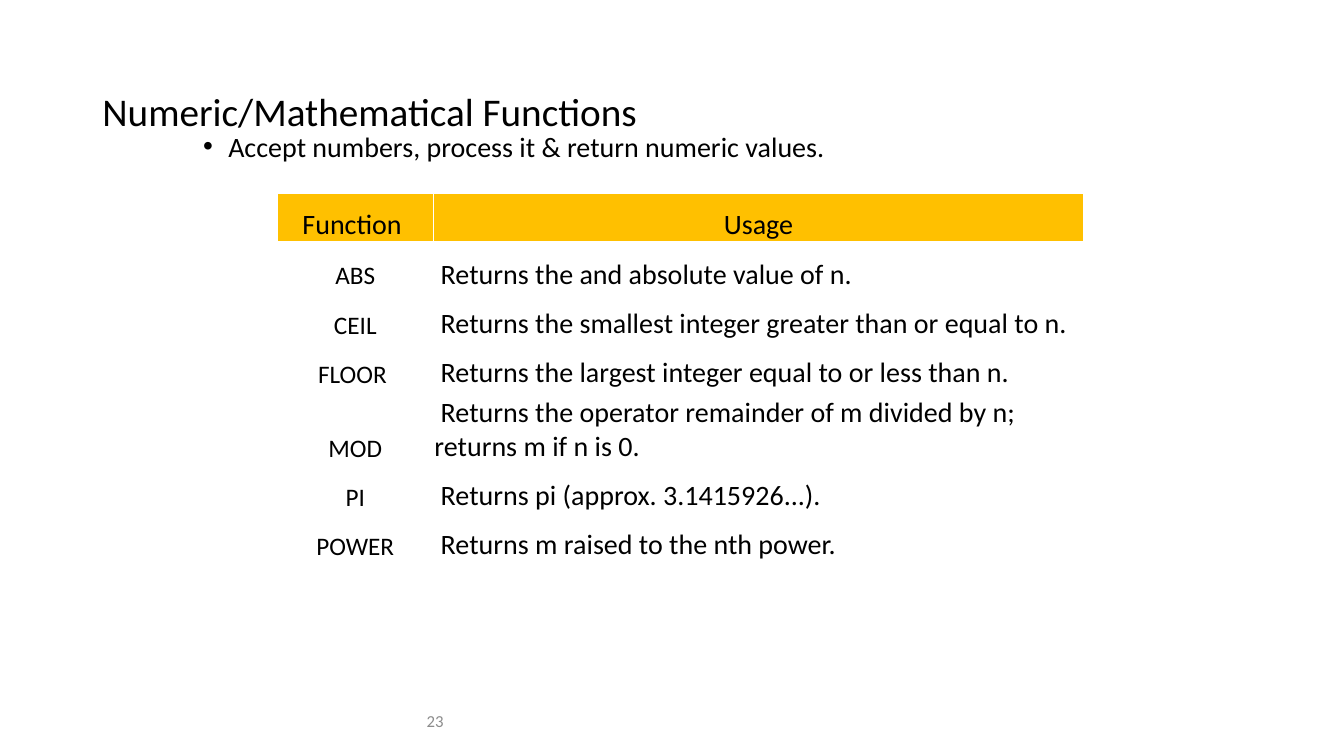
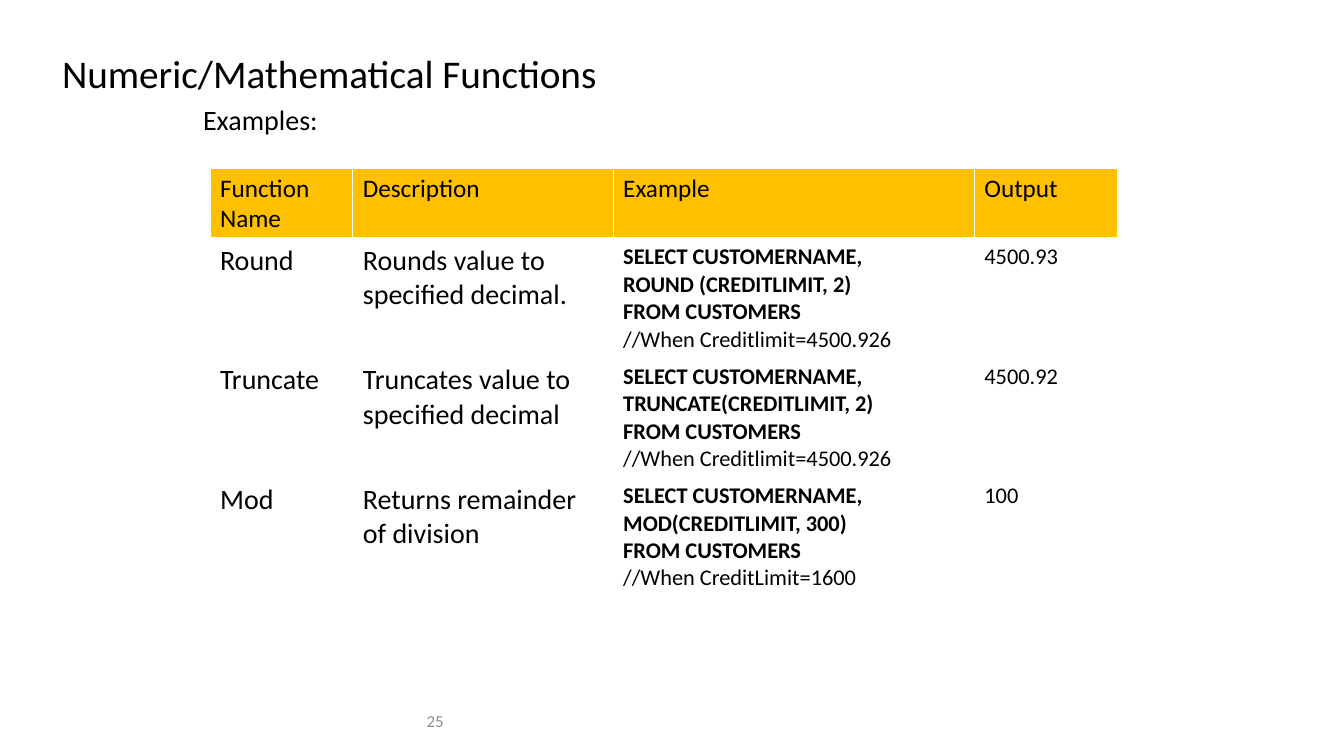
from lxml.etree import SubElement
from pptx import Presentation
from pptx.dml.color import RGBColor
from pptx.enum.text import MSO_ANCHOR, MSO_AUTO_SIZE, PP_ALIGN
from pptx.oxml.ns import qn
from pptx.util import Pt

COLORS = {"text": "000000", "header": "FFC000", "border": "FFFFFF", "number": "8C8C8C"}
FONT = "Calibri"
TITLE = "Numeric/Mathematical Functions"
TITLE_SIZE = (828, 104.4)
TIGHT_CELL = {"vertical_anchor": MSO_ANCHOR.BOTTOM, "margin_left": Pt(0.72),
              "margin_right": Pt(0.72), "margin_top": Pt(0.72), "margin_bottom": Pt(0)}
BORDERS = {"a:lnL": 1, "a:lnR": 1, "a:lnT": 1, "a:lnB": 1}
HEADER_BORDERS = BORDERS | {"a:lnB": 3}

USAGE_ROWS = [
    ("Function ", "Usage"),
    ("ABS", " Returns the and absolute value of n."),
    ("CEIL", " Returns the smallest integer greater than or equal to n."),
    ("FLOOR ", " Returns the largest integer equal to or less than n."),
    ("MOD", " Returns the operator remainder of m divided by n; returns m if n is 0."),
    ("PI", " Returns pi (approx. 3.1415926...)."),
    ("POWER", " Returns m raised to the nth power."),
]
EXAMPLE_ROWS = [
    ("Function Name", "Description", "Example", "Output"),
    ("Round", "Rounds value to specified decimal.",
     "SELECT CUSTOMERNAME,\nROUND (CREDITLIMIT, 2)\nFROM CUSTOMERS\n"
     "//When Creditlimit=4500.926", "4500.93"),
    ("Truncate", "Truncates value to specified decimal",
     "SELECT CUSTOMERNAME, TRUNCATE(CREDITLIMIT, 2)\nFROM CUSTOMERS\n"
     "//When Creditlimit=4500.926", "4500.92"),
    ("Mod", "Returns remainder of division",
     "SELECT CUSTOMERNAME,\nMOD(CREDITLIMIT, 300)\nFROM CUSTOMERS\n"
     "//When CreditLimit=1600", "100"),
]


def apply_format(target, values):
    """Set every attribute named in values on target."""
    for attribute, value in values.items():
        setattr(target, attribute, value)


def write_lines(frame, text, size, color="text", code=False, **paragraph_format):
    """Write one paragraph per line, with all but the last bold in code."""
    lines = text.split("\n")
    for index, line in enumerate(lines):
        paragraph = frame.paragraphs[0] if index == 0 else frame.add_paragraph()
        apply_format(paragraph, paragraph_format)
        run = paragraph.add_run()
        run.text = line
        apply_format(run.font, {"name": FONT, "size": Pt(size),
                                "bold": code and index < len(lines) - 1})
        run.font.color.rgb = RGBColor.from_string(COLORS[color])


def add_title(slide, left, top, line_spacing):
    """Place and format the title placeholder."""
    title = slide.shapes.title
    width, height = TITLE_SIZE
    apply_format(title, {"left": Pt(left), "top": Pt(top),
                         "width": Pt(width), "height": Pt(height)})
    apply_format(title.text_frame, {"vertical_anchor": MSO_ANCHOR.MIDDLE,
                                    "auto_size": MSO_AUTO_SIZE.NONE})
    write_lines(title.text_frame, TITLE, 28, alignment=PP_ALIGN.LEFT,
                line_spacing=line_spacing)


def add_text(slide, box, text, size, anchor=MSO_ANCHOR.TOP, **line_format):
    """Add a wrapping text box and return its frame."""
    frame = slide.shapes.add_textbox(*map(Pt, box)).text_frame
    apply_format(frame, {"word_wrap": True, "vertical_anchor": anchor})
    write_lines(frame, text, size, **line_format)
    return frame


def add_bullet(paragraph, indent):
    """Give a paragraph a round bullet and a hanging indent."""
    properties = paragraph._p.get_or_add_pPr()
    properties.set("marL", str(Pt(indent)))
    properties.set("indent", str(-Pt(indent)))
    SubElement(properties, qn("a:buFont"), typeface="Arial")
    SubElement(properties, qn("a:buChar"), char="•")


def add_page_number(slide, number):
    """Add the grey page number at the foot."""
    add_text(slide, (0, 500.4, 324, 28.8), number, 12, MSO_ANCHOR.MIDDLE,
             color="number", alignment=PP_ALIGN.RIGHT)


def draw_borders(cell, borders):
    """Draw the cell's sides in the given line widths."""
    properties = cell._tc.get_or_add_tcPr()
    for side, width in borders.items():
        line = SubElement(properties, qn(side), w=str(Pt(width)))
        fill = SubElement(line, qn("a:solidFill"))
        SubElement(fill, qn("a:srgbClr"), val=COLORS["border"])


def add_function_table(slide, origin, widths, heights, rows, header_format,
                       column_formats, cell_format):
    """Add a table with an amber header row and unfilled body rows."""
    frame = slide.shapes.add_table(len(rows), len(widths), *map(Pt, origin),
                                   Pt(sum(widths)), Pt(sum(heights)))
    table = frame.table
    apply_format(table, {"first_row": False, "horz_banding": False})
    for column, width in zip(table.columns, widths):
        column.width = Pt(width)
    for row_index, (row, height, texts) in enumerate(zip(table.rows, heights, rows)):
        row.height = Pt(height)
        is_header = row_index == 0
        for cell, text, column_format in zip(row.cells, texts, column_formats):
            apply_format(cell, cell_format)
            draw_borders(cell, HEADER_BORDERS if is_header else BORDERS)
            if is_header:
                cell.fill.solid()
                cell.fill.fore_color.rgb = RGBColor.from_string(COLORS["header"])
            else:
                cell.fill.background()
            write_lines(cell.text_frame, text,
                        **(header_format if is_header else column_format))


def build_usage_slide(slide):
    """Build the list of numeric functions and their usage."""
    add_title(slide, 66, 28.8, 0.9)
    summary = add_text(slide, (138, 84, 648, 72),
                       "Accept numbers, process it & return numeric values.", 20,
                       line_spacing=1.2, space_before=Pt(10))
    add_bullet(summary.paragraphs[0], 18)
    add_page_number(slide, "23")
    centered = {"alignment": PP_ALIGN.CENTER}
    add_function_table(slide, (198, 138), (111.6, 464.4),
                       [35.2 if row[0] != "MOD" else 52.8 for row in USAGE_ROWS],
                       USAGE_ROWS, {"size": 20} | centered,
                       [{"size": 18} | centered, {"size": 20}], TIGHT_CELL)


def build_examples_slide(slide):
    """Build the worked examples with their output."""
    add_title(slide, 37.2, 0, 1.0)
    add_text(slide, (138, 72.6, 648, 39), "Examples:", 20,
             line_spacing=0.9, space_before=Pt(10))
    add_page_number(slide, "25")
    add_function_table(slide, (150, 120), (102, 186, 258, 102),
                       [50.4] + [85.3] * 3, EXAMPLE_ROWS, {"size": 18},
                       [{"size": 20}, {"size": 20},
                        {"size": 16, "code": True}, {"size": 16}], {})


def main():
    """Build and save the presentation."""
    presentation = Presentation()
    apply_format(presentation, {"slide_width": Pt(960), "slide_height": Pt(540)})
    title_only = presentation.slide_layouts[5]
    for build in (build_usage_slide, build_examples_slide):
        build(presentation.slides.add_slide(title_only))
    presentation.save("out.pptx")


if __name__ == "__main__":
    main()
